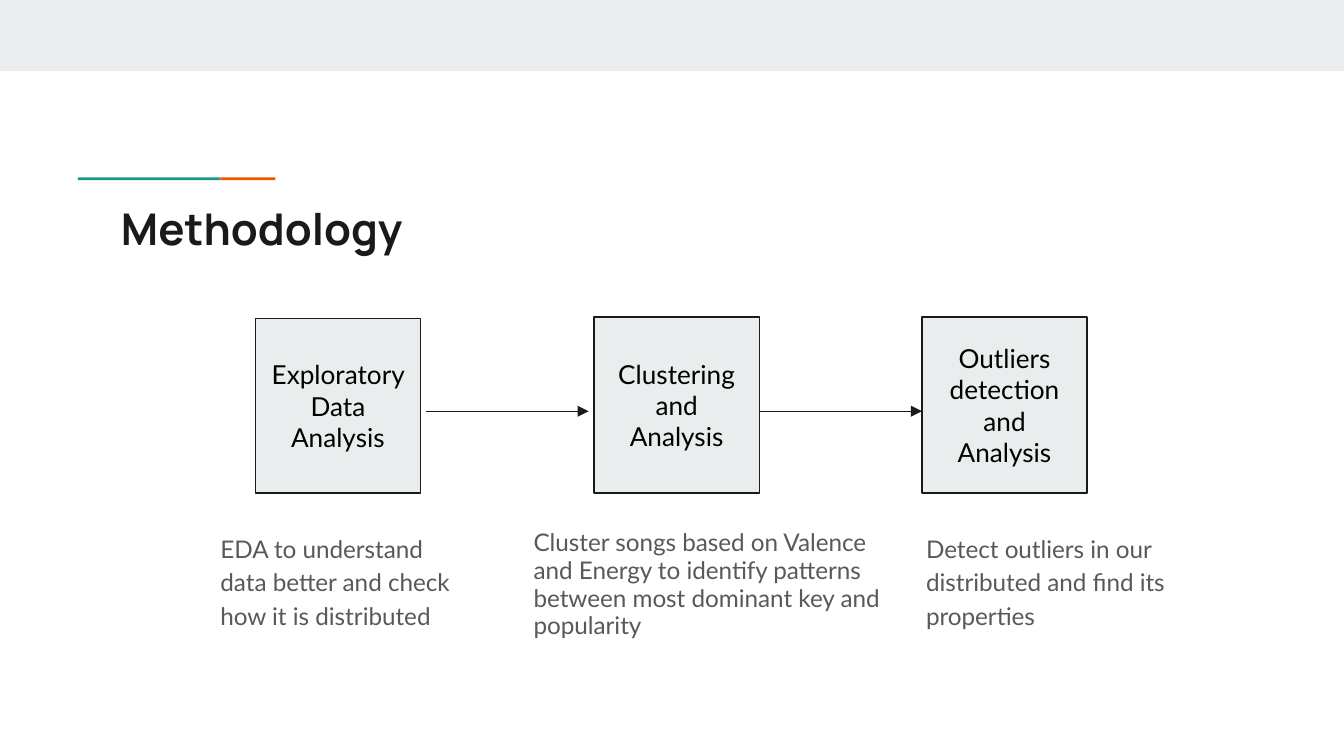
from dataclasses import dataclass

import pptx
import pptx.dml.color
import pptx.enum.shapes
import pptx.enum.text
import pptx.oxml.ns
import pptx.util
from lxml import etree

Inches = pptx.util.Inches
Shapes = pptx.enum.shapes.MSO_SHAPE
Anchor = pptx.enum.text.MSO_ANCHOR
Align = pptx.enum.text.PP_ALIGN


@dataclass(frozen=True)
class Theme:
    pale: str = "E9EDEE"
    ink: str = "1A1A1A"
    black: str = "000000"
    grey: str = "595959"
    green: str = "1A9988"
    orange: str = "EB5600"
    head: str = "Manrope"
    text: str = "Lato"
    title: float = 23.4
    label: float = 14
    note: float = 13
    line: float = 0.75


@dataclass(frozen=True)
class Area:
    left: float
    top: float
    width: float
    height: float

    def place(self) -> tuple:
        return tuple(map(Inches, (self.left, self.top, self.width, self.height)))


@dataclass(frozen=True)
class Step:
    label: str
    box: Area
    note: str
    left: float
    width: float
    pitch: float


THEME = Theme()
STEPS = [
    Step("Exploratory Data Analysis", Area(1.9, 2.37, 1.23, 1.3),
         "EDA to understand data better and check how it is distributed",
         1.54, 1.95, 1.15),
    Step("Clustering and Analysis", Area(4.42, 2.36, 1.23, 1.31),
         "Cluster songs based on Valence and Energy to identify patterns "
         "between most dominant key and popularity",
         3.87, 2.92, 0.95),
    Step("Outliers detection and Analysis", Area(6.86, 2.36, 1.23, 1.31),
         "Detect outliers in our distributed and find its properties",
         6.79, 2.14, 1.15),
]
ARROWS = [(3.17, 4.38), (5.65, 6.86)]


def paint(code: str) -> pptx.dml.color.RGBColor:
    return pptx.dml.color.RGBColor.from_string(code)


def write(shape, text: str, face: str, size: float, color: str,
          align=Align.LEFT, anchor=Anchor.TOP, bold: bool = False):
    frame = shape.text_frame
    frame.text = text
    frame.word_wrap = True
    frame.auto_size = pptx.enum.text.MSO_AUTO_SIZE.NONE
    frame.vertical_anchor = anchor
    frame.margin_left = frame.margin_right = Inches(0.1)
    frame.margin_top = frame.margin_bottom = Inches(0.1)
    para = frame.paragraphs[0]
    para.alignment = align
    para.space_before = pptx.util.Pt(0)
    para.font.name = face
    para.font.size = pptx.util.Pt(size)
    para.font.bold = bold
    para.font.color.rgb = paint(color)
    return para


def fit(shape, area: Area) -> None:
    shape.left, shape.top, shape.width, shape.height = area.place()


def add_rect(slide, area: Area, fill: str):
    rect = slide.shapes.add_shape(Shapes.RECTANGLE, *area.place())
    rect.shadow.inherit = False
    rect.fill.solid()
    rect.fill.fore_color.rgb = paint(fill)
    rect.line.fill.background()
    return rect


def add_box(slide, step: Step) -> None:
    box = add_rect(slide, step.box, THEME.pale)
    box.line.color.rgb = paint(THEME.ink)
    box.line.width = pptx.util.Pt(THEME.line)
    write(box, step.label, THEME.text, THEME.label, THEME.black,
          Align.CENTER, Anchor.MIDDLE)


def set_note(holder, step: Step) -> None:
    fit(holder, Area(step.left, 3.84, step.width, 1.09))
    para = write(holder, step.note, THEME.text, THEME.note, THEME.grey)
    para.line_spacing = step.pitch
    para.space_after = pptx.util.Pt(12)
    props = para._p.get_or_add_pPr()
    props.set("marL", "0")
    props.set("indent", "0")
    bullet = etree.Element(pptx.oxml.ns.qn("a:buNone"))
    props.insert_element_before(bullet, "a:tabLst", "a:defRPr", "a:extLst")


def add_arrow(slide, start: float, end: float, level: float) -> None:
    arrow = slide.shapes.add_connector(
        pptx.enum.shapes.MSO_CONNECTOR.STRAIGHT,
        Inches(start), Inches(level), Inches(end), Inches(level))
    arrow.line.color.rgb = paint(THEME.ink)
    arrow.line.width = pptx.util.Pt(THEME.line)
    qn = pptx.oxml.ns.qn
    etree.SubElement(arrow.line._ln, qn("a:tailEnd"), type="triangle")
    etree.SubElement(arrow._element.spPr, qn("a:effectLst"))


def main() -> None:
    deck = pptx.Presentation()
    deck.slide_width = Inches(10)
    deck.slide_height = deck.slide_width * 9 // 16
    layout = deck.slide_layouts.get_by_name("Comparison")
    slide = deck.slides.add_slide(layout)
    title, *notes, spare = slide.placeholders
    spare._element.getparent().remove(spare._element)

    add_rect(slide, Area(0, 0, 10, 0.53), THEME.pale)
    add_rect(slide, Area(0.58, 1.32, 1.06, 0.02), THEME.green)
    add_rect(slide, Area(1.64, 1.32, 0.41, 0.02), THEME.orange)

    fit(title, Area(0.8, 1.4, 8.41, 0.59))
    write(title, "Methodology", THEME.head, THEME.title, THEME.ink, bold=True)

    for step, holder in zip(STEPS, notes):
        add_box(slide, step)
        set_note(holder, step)
    for start, end in ARROWS:
        add_arrow(slide, start, end, 3.06)
    deck.save("out.pptx")


if __name__ == "__main__":
    main()
